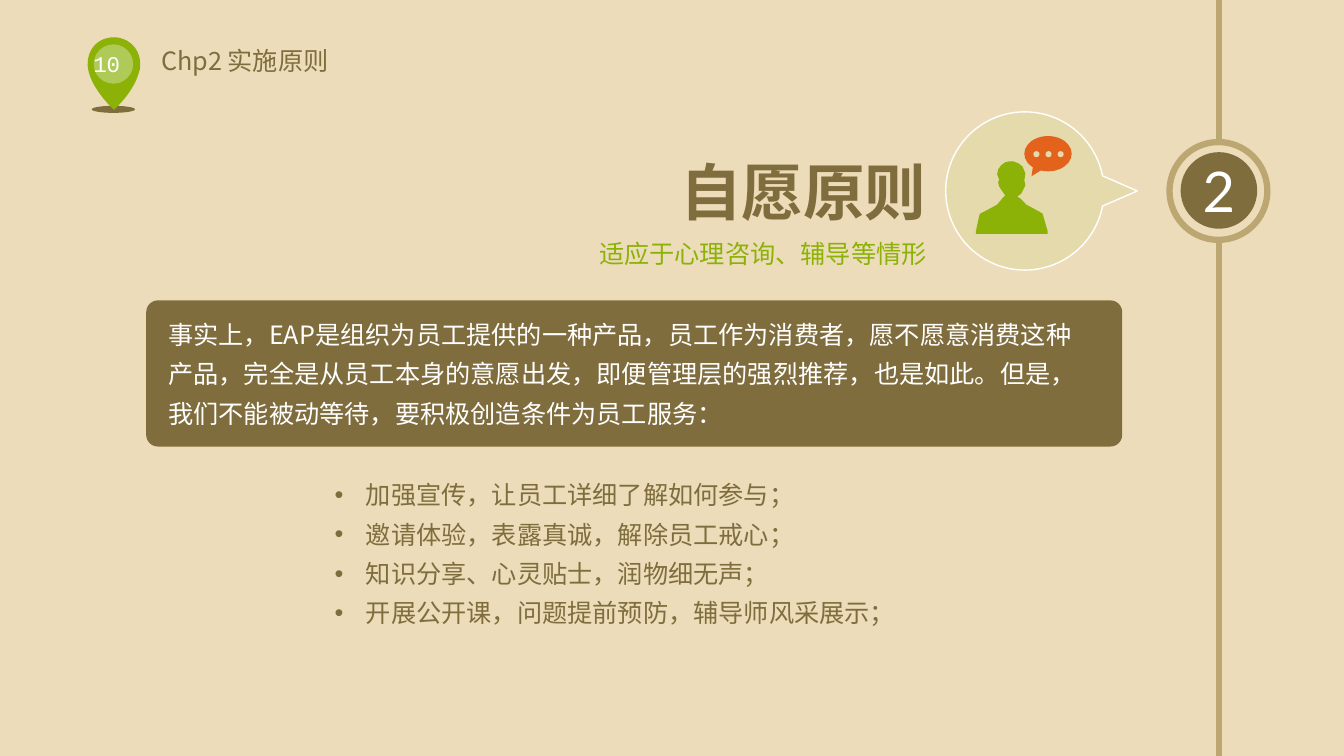
from dataclasses import dataclass
from typing import Optional

from lxml import etree
from pptx import Presentation
from pptx.dml.color import RGBColor
from pptx.enum.shapes import MSO_CONNECTOR, MSO_SHAPE
from pptx.enum.text import MSO_ANCHOR, MSO_AUTO_SIZE, PP_ALIGN
from pptx.oxml.ns import qn
from pptx.util import Emu, Pt

PX = 9144  # EMU in one px, 100 px to the inch

SAND = RGBColor(0xED, 0xDC, 0xB9)
BROWN = RGBColor(0x80, 0x6D, 0x3E)
TAN = RGBColor(0xBC, 0xA7, 0x72)
GREEN = RGBColor(0x8C, 0xB2, 0x08)
LIME = RGBColor(0x9F, 0xCC, 0x3E)
PALE_LIME = RGBColor(0xE5, 0xDA, 0xAD)
ORANGE = RGBColor(0xE4, 0x63, 0x1C)
WHITE = RGBColor(0xFF, 0xFF, 0xFF)

ELLIPSE = MSO_SHAPE.OVAL
CALLOUT = MSO_SHAPE.OVAL_CALLOUT
ROUNDED = MSO_SHAPE.ROUNDED_RECTANGLE
LEFT, CENTER, RIGHT = PP_ALIGN.LEFT, PP_ALIGN.CENTER, PP_ALIGN.RIGHT

CJK = "Noto Sans CJK SC"
BULLET_INDENT = 31

Point = tuple[float, float]
Box = tuple[int, int, int, int]


@dataclass(frozen=True)
class Figure:
    kind: MSO_SHAPE
    box: Box
    fill: RGBColor
    opacity: int = 100
    line: Optional[RGBColor] = None
    line_width: float = 1
    adjustments: tuple[float, ...] = ()


@dataclass(frozen=True)
class Label:
    box: Box
    lines: tuple[str, ...]
    size: int
    color: RGBColor
    font: str = CJK
    align: PP_ALIGN = LEFT
    bold: bool = False
    spacing: float = 1.0
    bulleted: bool = False


PIN_SHADOW = Figure(ELLIPSE, (91, 105, 43, 7), BROWN)
PIN_WINDOW = Figure(ELLIPSE, (93, 44, 39, 39), WHITE, opacity=32)
PIN_START = (139, 64)
PIN_CURVES = (
    ((139, 63), (139, 63), (139, 63)),
    ((139, 48), (127, 37), (113, 37)),
    ((98, 37), (87, 48), (87, 63)),
    ((87, 64), (87, 65), (87, 66)),
    ((89, 87), (113, 109), (113, 109)),
    ((130, 93), (136, 79), (138, 71)),
    ((139, 69), (139, 66), (139, 64)),
)

PANEL = Figure(ROUNDED, (145, 298, 968, 145), BROWN, adjustments=(0.08,))
TIMELINE_X = 1209
NUMBER_RING = Figure(ELLIPSE, (1160, 141, 97, 97), SAND, line=TAN, line_width=4.5)
NUMBER_DISC = Figure(ELLIPSE, (1171, 151, 76, 76), BROWN)
ICON_CALLOUT = Figure(CALLOUT, (938, 111, 157, 157), LIME, opacity=10,
                      line=WHITE, adjustments=(0.71, 0))

PERSON = (
    (1035, 215), (1034, 212), (1031, 210), (1018, 203), (1012, 197), (1009, 195),
    (1013, 192), (1015, 188), (1017, 184), (1016, 179), (1017, 172), (1014, 165),
    (1010, 162), (1005, 160), (1001, 160), (997, 161), (993, 164), (990, 168),
    (989, 173), (991, 178), (990, 181), (991, 185), (993, 188), (997, 194),
    (994, 197), (989, 203), (976, 210), (972, 212), (971, 215), (968, 229),
    (968, 232), (1039, 232), (1039, 229),
)
SPEECH_BUBBLE = Figure(CALLOUT, (1016, 135, 47, 35), ORANGE, adjustments=(-0.35, 0.64))
DOT_LEFT, DOT_TOP, DOT_SIZE, DOT_STEP, DOT_COUNT = 1025, 150, 6, 12, 3

LABELS = (
    Label((77, 45, 71, 37), ("10 ",), 16, WHITE, "Courier New", CENTER),
    Label((150, 40, 190, 40), ("Chp2 实施原则",), 18, BROWN),
    Label((601, 148, 328, 84), ("自愿原则",), 44, BROWN, align=RIGHT, bold=True),
    Label((581, 232, 348, 40), ("适应于心理咨询、辅导等情形",), 18, GREEN, align=RIGHT),
    Label((157, 303, 939, 128),
          ("事实上，EAP是组织为员工提供的一种产品，员工作为消费者，愿不愿意消费这种产品，"
           "完全是从员工本身的意愿出发，即便管理层的强烈推荐，也是如此。但是，"
           "我们不能被动等待，要积极创造条件为员工服务：",),
          18, WHITE, spacing=1.3),
    Label((322, 462, 838, 168),
          ("加强宣传，让员工详细了解如何参与；",
           "邀请体验，表露真诚，解除员工戒心；",
           "知识分享、心灵贴士，润物细无声；",
           "开展公开课，问题提前预防，辅导师风采展示；"),
          18, BROWN, spacing=1.3, bulleted=True),
)


def to_emu(box: Box) -> list[Emu]:
    return [Emu(length * PX) for length in box]


def draw_figure(slide, figure: Figure):
    shape = slide.shapes.add_shape(figure.kind, *to_emu(figure.box))
    shape.shadow.inherit = False
    for index, value in enumerate(figure.adjustments):
        shape.adjustments[index] = value
    shape.fill.solid()
    shape.fill.fore_color.rgb = figure.fill
    if figure.opacity < 100:
        color = shape._element.spPr.find(qn("a:solidFill"))[0]
        etree.SubElement(color, qn("a:alpha"), val=str(figure.opacity * 1000))
    if figure.line is None:
        shape.line.fill.background()
    else:
        shape.line.color.rgb = figure.line
        shape.line.width = Pt(figure.line_width)
    return shape


def sample_curves(start: Point, curves, steps: int = 12) -> list[Point]:
    """Turn a chain of cubic Bézier curves into points."""
    points = [start]
    for first, second, end in curves:
        origin = points[-1]
        for step in range(1, steps + 1):
            t = step / steps
            weights = ((1 - t) ** 3, 3 * t * (1 - t) ** 2, 3 * t * t * (1 - t), t ** 3)
            corners = (origin, first, second, end)
            points.append(tuple(sum(weight * corner[axis] for weight, corner in zip(weights, corners))
                                for axis in (0, 1)))
    return points


def draw_outline(slide, points, fill: RGBColor) -> None:
    scaled = [(round(x * PX), round(y * PX)) for x, y in points]
    builder = slide.shapes.build_freeform(*scaled[0], scale=1.0)
    builder.add_line_segments(scaled[1:], close=True)
    shape = builder.convert_to_shape()
    shape.shadow.inherit = False
    shape.fill.solid()
    shape.fill.fore_color.rgb = fill
    shape.line.fill.background()


def draw_timeline(slide, bottom: int) -> None:
    line = slide.shapes.add_connector(MSO_CONNECTOR.STRAIGHT, *to_emu((TIMELINE_X, 0, TIMELINE_X, bottom)))
    line.line.color.rgb = TAN
    line.line.width = Pt(4.5)
    etree.SubElement(line._element.spPr, qn("a:effectLst"))


def write_text(frame, label: Label) -> None:
    frame.word_wrap = True
    for index, text in enumerate(label.lines):
        paragraph = frame.paragraphs[0] if index == 0 else frame.add_paragraph()
        paragraph.text = text
        paragraph.alignment = label.align
        paragraph.line_spacing = label.spacing
        properties = paragraph._p.get_or_add_pPr()
        if label.bulleted:
            properties.set("marL", str(BULLET_INDENT * PX))
            properties.set("indent", str(-BULLET_INDENT * PX))
            etree.SubElement(properties, qn("a:buFont"), typeface="Arial")
            etree.SubElement(properties, qn("a:buChar"), char="•")
        font = paragraph.font
        font.size = Pt(label.size)
        font.bold = label.bold
        font.color.rgb = label.color
        font.name = label.font
        etree.SubElement(properties.find(qn("a:defRPr")), qn("a:ea"), typeface=label.font)


def draw_label(slide, label: Label) -> None:
    frame = slide.shapes.add_textbox(*to_emu(label.box)).text_frame
    frame.auto_size = MSO_AUTO_SIZE.SHAPE_TO_FIT_TEXT
    write_text(frame, label)


def draw_number(slide) -> None:
    frame = draw_figure(slide, NUMBER_DISC).text_frame
    frame.margin_left = frame.margin_top = frame.margin_right = frame.margin_bottom = 0
    frame.vertical_anchor = MSO_ANCHOR.MIDDLE
    write_text(frame, Label(NUMBER_DISC.box, ("2",), 40, WHITE, "Lato", CENTER))


def main() -> None:
    presentation = Presentation()
    presentation.slide_width, presentation.slide_height = to_emu((1333, 750))
    slide = presentation.slides.add_slide(presentation.slide_layouts[6])
    slide.background.fill.solid()
    slide.background.fill.fore_color.rgb = SAND

    draw_figure(slide, PIN_SHADOW)
    draw_outline(slide, sample_curves(PIN_START, PIN_CURVES), GREEN)
    draw_figure(slide, PIN_WINDOW)
    draw_figure(slide, PANEL)
    draw_timeline(slide, 750)
    draw_figure(slide, NUMBER_RING)
    draw_number(slide)
    draw_figure(slide, ICON_CALLOUT)
    for label in LABELS:
        draw_label(slide, label)
    draw_outline(slide, PERSON, GREEN)
    draw_figure(slide, SPEECH_BUBBLE)
    for index in range(DOT_COUNT):
        box = (DOT_LEFT + index * DOT_STEP, DOT_TOP, DOT_SIZE, DOT_SIZE)
        draw_figure(slide, Figure(ELLIPSE, box, PALE_LIME))
    presentation.save("out.pptx")


if __name__ == "__main__":
    main()
